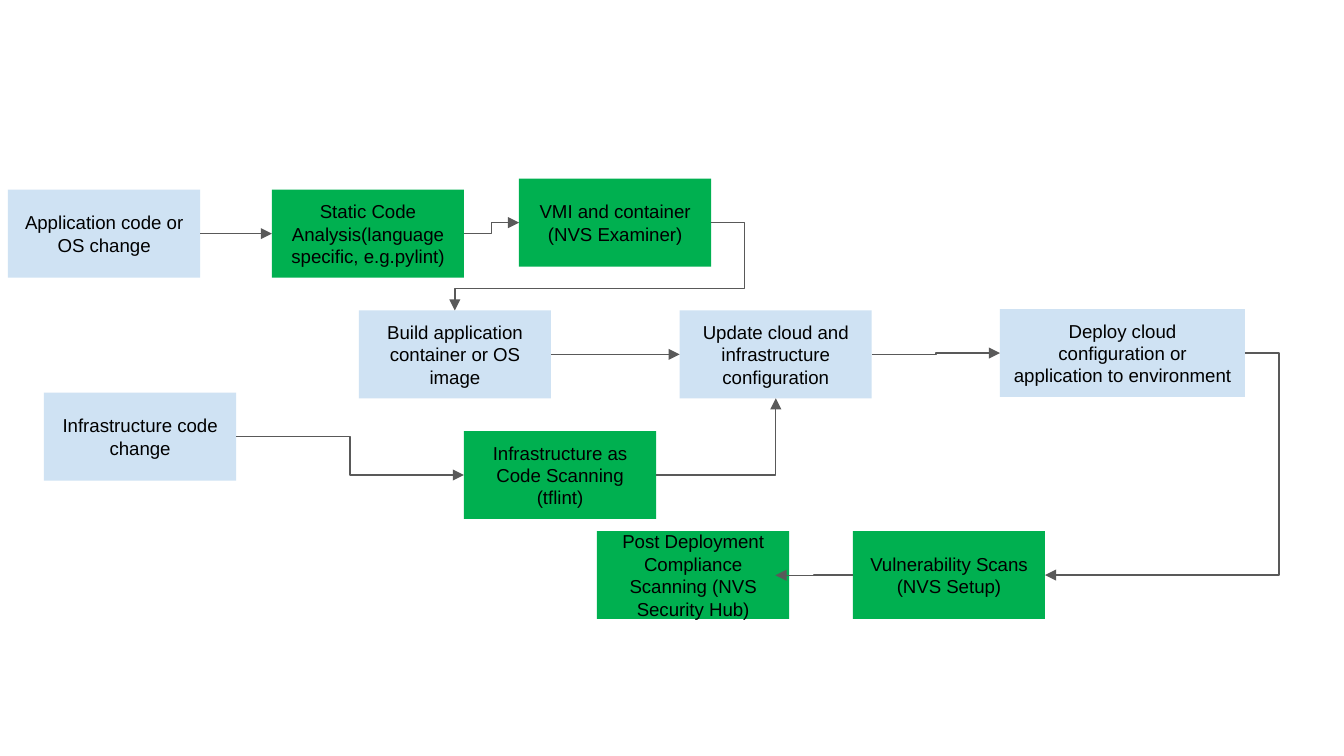
import pptx
import pptx.dml.color
import pptx.enum.shapes
import pptx.enum.text
import pptx.util
import lxml.etree
import pptx.oxml.ns

STEP_BLUE = pptx.dml.color.RGBColor(0xCF, 0xE2, 0xF3)
SCAN_GREEN = pptx.dml.color.RGBColor(0x00, 0xB0, 0x50)
TEXT_BLACK = pptx.dml.color.RGBColor(0x00, 0x00, 0x00)
ARROW_GREY = pptx.dml.color.RGBColor(0x59, 0x59, 0x59)

# Widescreen slide, 10 inches wide
deck = pptx.Presentation()
deck.slide_width = pptx.util.Inches(10)
deck.slide_height = deck.slide_width * 9 // 16
slide = deck.slides.add_slide(deck.slide_layouts[6])

# Square grid, 100 columns across the slide
CELL = deck.slide_width / 100
STEP_COLUMNS, STEP_ROWS = 14.3, 6.54
DEPLOY_COLUMNS = 18.23
TOP, LEFT, BOTTOM, RIGHT = range(4)


def grid(cells):
    return round(cells * CELL)


def add_child(parent, tag, **attributes):
    return lxml.etree.SubElement(parent, pptx.oxml.ns.qn(tag), attributes)


# Pipeline steps: column, row, width in columns, colour, lines of text
steps = {
    "build": (26.7, 23.1, STEP_COLUMNS, STEP_BLUE, ["Build application container or OS image"]),
    "deploy": (74.4, 23, DEPLOY_COLUMNS, STEP_BLUE,
               ["Deploy cloud configuration or application to environment"]),
    "update": (50.57, 23.1, STEP_COLUMNS, STEP_BLUE,
               ["Update cloud and infrastructure configuration"]),
    "static": (20.23, 14.12, STEP_COLUMNS, SCAN_GREEN,
               ["Static Code Analysis(language specific, e.g.pylint)"]),
    "infra change": (3.27, 29.22, STEP_COLUMNS, STEP_BLUE, ["Infrastructure code change"]),
    "app change": (0.6, 14.12, STEP_COLUMNS, STEP_BLUE, ["Application code or OS change"]),
    "vulnerability": (63.46, 39.52, STEP_COLUMNS, SCAN_GREEN,
                      ["Vulnerability Scans", "(NVS Setup)"]),
    "image scan": (38.62, 13.3, STEP_COLUMNS, SCAN_GREEN,
                   ["VMI and container", "(NVS Examiner)"]),
    "compliance": (44.42, 39.52, STEP_COLUMNS, SCAN_GREEN,
                   ["Post Deployment Compliance Scanning (NVS Security Hub)"]),
    "infra scan": (34.52, 32.08, STEP_COLUMNS, SCAN_GREEN,
                   ["Infrastructure as Code Scanning (tflint)"]),
}
boxes = {}
for step, (column, row, columns, colour, lines) in steps.items():
    box = slide.shapes.add_shape(pptx.enum.shapes.MSO_SHAPE.RECTANGLE, grid(column),
                                 grid(row), grid(columns), grid(STEP_ROWS))
    box.shadow.inherit = False
    box.fill.solid()
    box.fill.fore_color.rgb = colour
    box.line.fill.background()
    frame = box.text_frame
    frame.word_wrap = True
    frame.vertical_anchor = pptx.enum.text.MSO_ANCHOR.MIDDLE
    frame.margin_left = frame.margin_right = grid(1)
    frame.margin_top = frame.margin_bottom = grid(1)
    paragraph = frame.paragraphs[0]
    paragraph.alignment = pptx.enum.text.PP_ALIGN.CENTER
    for number, line in enumerate(lines):
        if number:
            paragraph.add_line_break()
        run = paragraph.add_run()
        run.text = line
        run.font.name = "Arial"
        run.font.size = pptx.util.Pt(10)
        run.font.color.rgb = TEXT_BLACK
    boxes[step] = box

# Arrows: start, its side, end, its side, number of segments, bend positions
flows = [
    ("image scan", RIGHT, "build", TOP, 4, [-0.13, 0.75]),
    ("infra change", RIGHT, "infra scan", LEFT, 3, [0.5]),
    ("build", RIGHT, "update", LEFT, 3, [0.5]),
    ("update", RIGHT, "deploy", LEFT, 3, [0.5]),
    ("app change", RIGHT, "static", LEFT, 3, [0.5]),
    ("deploy", RIGHT, "vulnerability", RIGHT, 3, [-0.17]),
    ("static", RIGHT, "image scan", LEFT, 3, [0.5]),
    ("vulnerability", LEFT, None, None, 3, [0.5]),
    ("infra scan", RIGHT, "update", BOTTOM, 2, []),
]
for start, start_side, end, end_side, segments, bends in flows:
    # The free arrowhead stops just inside the compliance box
    arrow = slide.shapes.add_connector(pptx.enum.shapes.MSO_CONNECTOR.ELBOW,
                                       grid(63.5), grid(42.9), grid(57.7), grid(42.8))
    arrow.begin_connect(boxes[start], start_side)
    if end:
        arrow.end_connect(boxes[end], end_side)
    arrow.line.color.rgb = ARROW_GREY
    arrow.line.width = pptx.util.Pt(0.75)
    properties = arrow._element.spPr
    add_child(properties.find(pptx.oxml.ns.qn("a:ln")), "a:tailEnd", type="triangle")
    add_child(properties, "a:effectLst")

    # Bend shape and positions
    geometry = properties.find(pptx.oxml.ns.qn("a:prstGeom"))
    geometry.set("prst", f"bentConnector{segments}")
    for old_adjustments in list(geometry):
        geometry.remove(old_adjustments)
    adjustments = add_child(geometry, "a:avLst")
    for number, bend in enumerate(bends, 1):
        add_child(adjustments, "a:gd", name=f"adj{number}", fmla=f"val {round(bend * 100000)}")

deck.save("out.pptx")
